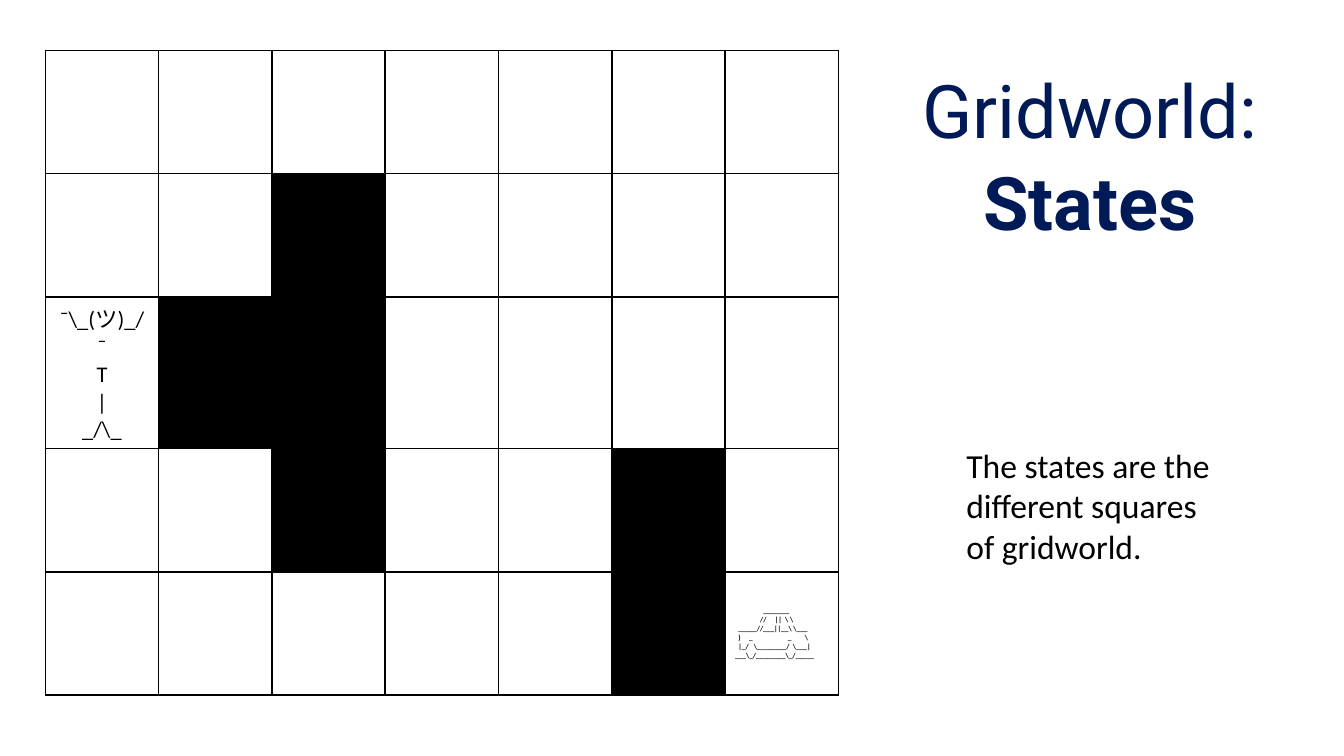
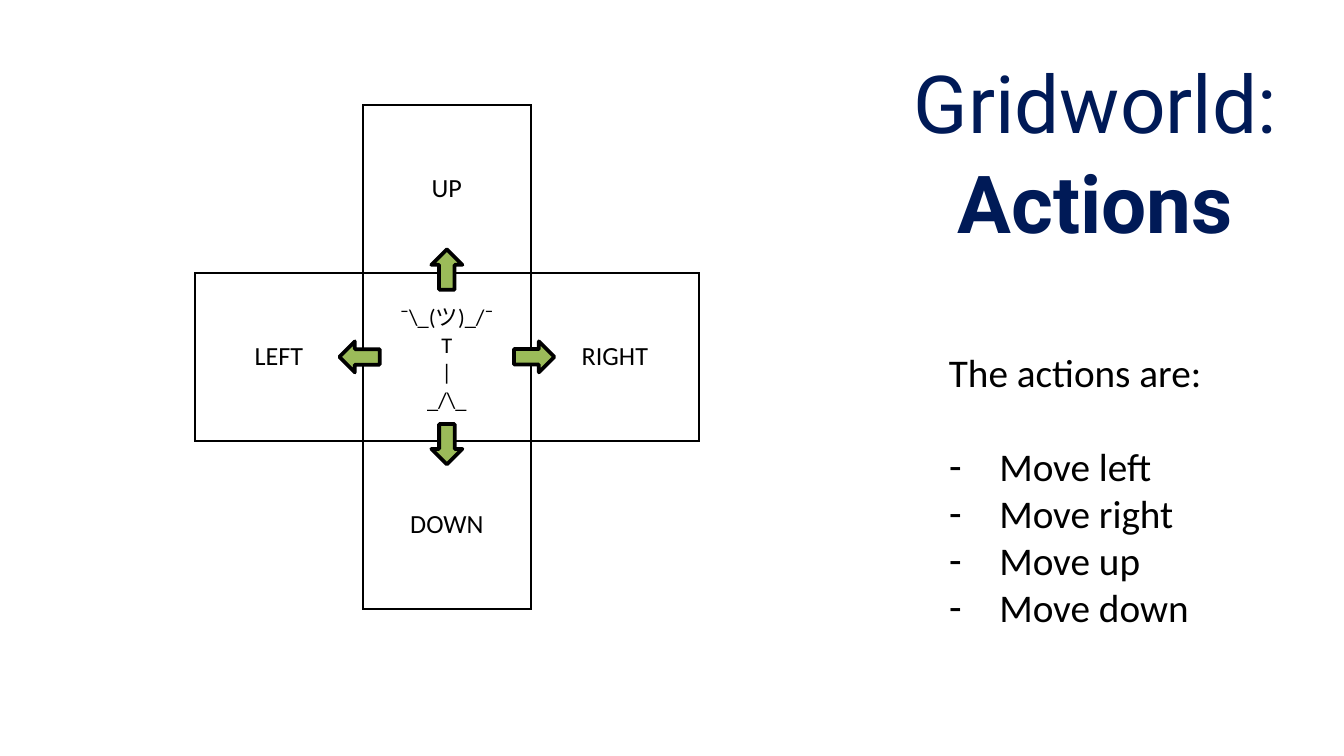
import dataclasses

import lxml.etree
import pptx
import pptx.dml.color
import pptx.enum.shapes
import pptx.enum.text
import pptx.oxml.ns
import pptx.util

Pt = pptx.util.Pt
ALIGN = pptx.enum.text.PP_ALIGN
ANCHOR = pptx.enum.text.MSO_ANCHOR


@dataclasses.dataclass(frozen=True)
class Theme:
    """Colours, fonts and type sizes of the deck."""

    navy: str = "001A57"
    ink: str = "000000"
    green: str = "9BBB59"
    title_font: str = "Roboto"
    body_font: str = "Calibri"
    state_title: float = 39.6
    action_title: float = 42.9
    state_text: float = 18
    action_text: float = 21
    label: float = 14
    agent: float = 12
    car: float = 4
    rule: float = 1
    arrow_rule: float = 2


THEME = Theme()
AGENT = [r"¯\_(ツ)_/¯", "T", "|", r"_/\_"]
CAR = [
    r"                 _______",
    r"               //     ||  \ \ ".rstrip(),
    r"  _____//___||__\ \___",
    r"  )     _                     _        \ ".rstrip(),
    r"  |_/   \________/  \___| ___\_/________\_/_____",
]
WALLS = {(1, 2), (2, 1), (2, 2), (3, 2), (3, 5), (4, 5)}
MOVES = {(0, 1): "UP", (1, 0): "LEFT", (1, 2): "RIGHT", (2, 1): "DOWN"}
SIDES = {"a:lnL": (0, -1), "a:lnR": (0, 1), "a:lnT": (-1, 0), "a:lnB": (1, 0)}


def rgb(color):
    """Return a colour object for a hex string."""
    return pptx.dml.color.RGBColor.from_string(color)


def assign(target, values):
    """Set each named attribute of the target."""
    for name, value in values.items():
        setattr(target, name, value)


def write_lines(frame, lines, font, color=THEME.ink, **layout):
    """Fill a text frame with one paragraph per line and return the paragraphs."""
    frame.clear()
    layout = {"space_before": Pt(0), **layout}
    for index, line in enumerate(lines):
        paragraph = frame.paragraphs[0] if index == 0 else frame.add_paragraph()
        assign(paragraph, layout)
        run = paragraph.add_run()
        run.text = line
        assign(run.font, font)
        run.font.color.rgb = rgb(color)
    return frame.paragraphs


def place(shape, box):
    """Move a placeholder to its box with plain, wrapped text."""
    assign(shape, dict(zip(("left", "top", "width", "height"), map(Pt, box))))
    assign(shape.text_frame, {"word_wrap": True, "auto_size": pptx.enum.text.MSO_AUTO_SIZE.NONE})


def add_heading(slide, box, topic, size):
    """Write the two-line title with its topic in bold."""
    title = slide.shapes.title
    place(title, box)
    title.text_frame.vertical_anchor = ANCHOR.MIDDLE
    font = {"name": THEME.title_font, "size": Pt(size), "bold": False}
    lines = write_lines(title.text_frame, ["Gridworld:", topic], font, THEME.navy,
                        alignment=ALIGN.CENTER, line_spacing=1.04)
    lines[1].runs[0].font.bold = True


def add_explanation(slide, box, intro, items, size):
    """Write an introduction and an optional dashed list in the body placeholder."""
    body = slide.placeholders[1]
    place(body, box)
    body.text_frame.vertical_anchor = ANCHOR.TOP
    font = {"name": THEME.body_font, "size": Pt(size)}
    paragraphs = write_lines(body.text_frame, [intro, *items], font)
    for index, paragraph in enumerate(paragraphs):
        indent = Pt(27) if index else Pt(0)
        properties = paragraph._p.get_or_add_pPr()
        properties.set("marL", str(indent))
        properties.set("indent", str(-indent))
        tag = "a:buChar" if index else "a:buNone"
        bullet = lxml.etree.SubElement(properties, pptx.oxml.ns.qn(tag))
        if index:
            bullet.set("char", "-")
    if items:
        paragraphs[1].space_before = Pt(size * 1.2)


def draw_border(cell, side, visible):
    """Draw or hide one side of a cell."""
    qn = pptx.oxml.ns.qn
    line = lxml.etree.SubElement(cell._tc.get_or_add_tcPr(), qn(side), w=str(Pt(THEME.rule)))
    fill = lxml.etree.SubElement(line, qn("a:solidFill" if visible else "a:noFill"))
    if visible:
        lxml.etree.SubElement(fill, qn("a:srgbClr"), val=THEME.ink)


def add_grid(slide, box, rows, columns, walls=(), hidden=()):
    """Add a ruled table with black walls and unruled hidden squares."""
    left, top, width, height = box
    grid = slide.shapes.add_table(rows, columns, *map(Pt, box)).table
    assign(grid, {"first_row": False, "horz_banding": False})
    for row in grid.rows:
        row.height = Pt(height / rows)
    for column in grid.columns:
        column.width = Pt(width / columns)
    squares = {(r, c) for r in range(rows) for c in range(columns)}
    ruled = squares - set(hidden)
    margins = {"margin_left": Pt(5.4), "margin_right": Pt(5.4),
               "margin_top": Pt(2.7), "margin_bottom": Pt(2.7)}
    for r, c in sorted(squares):
        cell = grid.cell(r, c)
        assign(cell, margins)
        for side, (down, across) in SIDES.items():
            draw_border(cell, side, bool({(r, c), (r + down, c + across)} & ruled))
        if (r, c) in walls:
            cell.fill.solid()
            cell.fill.fore_color.rgb = rgb(THEME.ink)
        else:
            cell.fill.background()
    return grid


def write_cell(cell, lines, size, anchor=ANCHOR.MIDDLE, alignment=ALIGN.CENTER, bold=False):
    """Write lines of text in a grid square."""
    cell.vertical_anchor = anchor
    font = {"name": THEME.body_font, "size": Pt(size), "bold": bold}
    write_lines(cell.text_frame, lines, font, alignment=alignment)


def add_move_arrows(slide, box):
    """Place four arrows around the centre of the box."""
    left, top, width, height = box
    center_x, center_y = left + width / 2, top + height / 2
    reach, breadth, length = 46.8, 16.6, 21.6
    for turn, (across, down) in enumerate([(0, -1), (1, 0), (0, 1), (-1, 0)]):
        arrow = slide.shapes.add_shape(
            pptx.enum.shapes.MSO_SHAPE.UP_ARROW,
            Pt(center_x + across * reach - breadth / 2),
            Pt(center_y + down * reach - length / 2),
            Pt(breadth), Pt(length))
        arrow.rotation = turn * 90
        arrow.shadow.inherit = False
        arrow.fill.solid()
        arrow.fill.fore_color.rgb = rgb(THEME.green)
        arrow.line.color.rgb = rgb(THEME.ink)
        arrow.line.width = Pt(THEME.arrow_rule)


def build_states(slide):
    """Build the slide on the states of gridworld."""
    add_heading(slide, (476.6, 20.9, 214.6, 122.4), "States", THEME.state_title)
    world = add_grid(slide, (24.3, 27, 425, 330), 5, 7, walls=WALLS)
    write_cell(world.cell(2, 0), AGENT, THEME.agent, anchor=ANCHOR.TOP)
    write_cell(world.cell(4, 6), CAR, THEME.car, alignment=ALIGN.LEFT, bold=True)
    add_explanation(slide, (510.5, 234.7, 146.9, 72.7),
                    "The states are the different squares of gridworld.", [], THEME.state_text)


def build_actions(slide):
    """Build the slide on the actions of the agent."""
    box = (104.4, 56.2, 270, 270)
    corners = [(r, c) for r in (0, 2) for c in (0, 2)]
    cross = add_grid(slide, box, 3, 3, hidden=corners)
    for square, move in MOVES.items():
        write_cell(cross.cell(*square), [move], THEME.label)
    write_cell(cross.cell(1, 1), AGENT, THEME.agent)
    add_move_arrows(slide, box)
    add_heading(slide, (479.5, 27.4, 214.6, 105.8), "Actions", THEME.action_title)
    add_explanation(slide, (501.1, 182.9, 179.3, 159.8), "The actions are:",
                    ["Move left", "Move right", "Move up", "Move down"], THEME.action_text)


def main():
    """Build and save the deck."""
    deck = pptx.Presentation()
    assign(deck, {"slide_width": Pt(720), "slide_height": Pt(405)})
    for build in (build_states, build_actions):
        build(deck.slides.add_slide(deck.slide_layouts[1]))
    deck.save("out.pptx")


if __name__ == "__main__":
    main()
